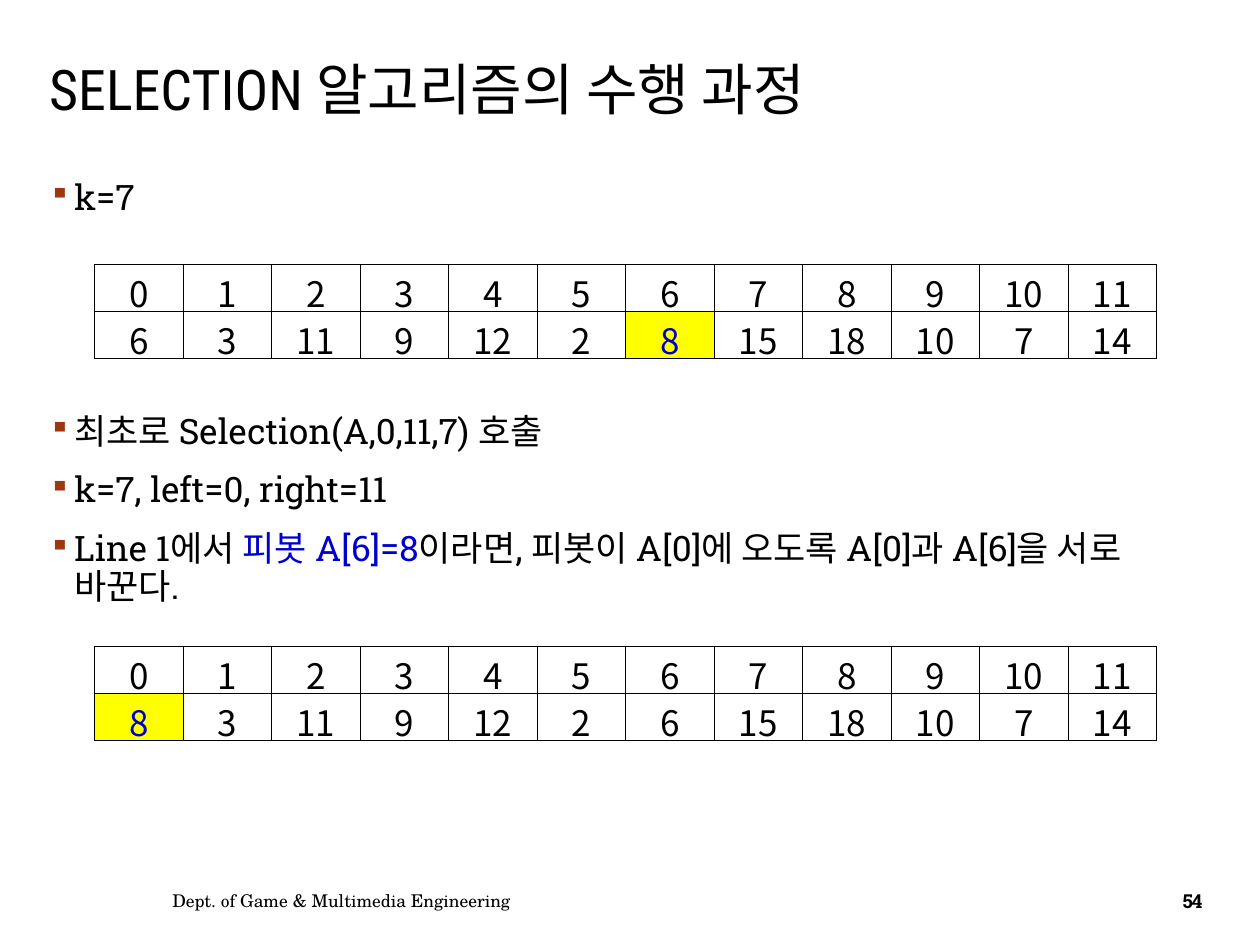
from dataclasses import dataclass

import pptx
import pptx.dml.color
import pptx.enum.text
import pptx.oxml
import pptx.oxml.ns
import pptx.util
from lxml import etree

Inches, Pt = pptx.util.Inches, pptx.util.Pt
MIDDLE = pptx.enum.text.MSO_ANCHOR.MIDDLE
LEFT, CENTER = pptx.enum.text.PP_ALIGN.LEFT, pptx.enum.text.PP_ALIGN.CENTER
BLACK, BLUE, YELLOW, RUST = "000000", "0000CC", "FFFF00", "9E3611"
SLAB, SANS = "Roboto Slab", "Noto Sans CJK KR"


@dataclass
class Bullet:
    runs: list[tuple[str, str]]
    space_before: float = 12


@dataclass
class ArrayTable:
    top: float
    values: list[int]
    pivot: int


BULLETS = [
    Bullet([("k=7", BLACK)]),
    Bullet([("최초로 Selection(A,0,11,7) 호출", BLACK)], 112),
    Bullet([("k=7, left=0, right=11", BLACK)]),
    Bullet([
        ("Line 1에서 ", BLACK),
        ("피봇 A[6]=8", BLUE),
        ("이라면, 피봇이 A[0]에 오도록 A[0]과 A[6]을 서로 바꾼다.", BLACK),
    ]),
]
TABLES = [
    ArrayTable(2.1, [6, 3, 11, 9, 12, 2, 8, 15, 18, 10, 7, 14], 6),
    ArrayTable(5.13, [8, 3, 11, 9, 12, 2, 6, 15, 18, 10, 7, 14], 0),
]


def rgb(color: str):
    return pptx.dml.color.RGBColor.from_string(color)


def child(parent, tag: str, **attrs: str):
    return etree.SubElement(parent, pptx.oxml.ns.qn(tag), attrs)


def add_run(p, text: str, *, size=20, font=SLAB, color=BLACK, bold=False, spacing=0):
    r = p.add_run()
    r.text = text
    r.font.size = Pt(size)
    r.font.name = font
    r.font.bold = bold
    r.font.color.rgb = rgb(color)
    rPr = r.font._element
    child(rPr, "a:ea", typeface=SANS)
    if spacing:
        rPr.set("spc", str(spacing))


def add_box(s, left: float, top: float, width: float, height: float):
    sp = s.shapes.add_textbox(Inches(left), Inches(top), Inches(width), Inches(height))
    sp.text_frame.word_wrap = True
    return sp.text_frame


def add_title(s, text: str) -> None:
    sp = s.shapes.title
    sp.left, sp.top = Inches(0.29), Inches(0.26)
    sp.width, sp.height = Inches(9.43), Inches(0.94)
    tf = sp.text_frame
    tf.auto_size = pptx.enum.text.MSO_AUTO_SIZE.NONE
    tf.vertical_anchor = MIDDLE
    p = tf.paragraphs[0]
    p.alignment = LEFT
    p.line_spacing = 0.9
    add_run(p, text, size=32, font="Roboto Condensed")


def add_bullets(s, bullets: list[Bullet]) -> None:
    tf = add_box(s, 0.29, 1.38, 9.43, 5.37)
    for i, bullet in enumerate(bullets):
        p = tf.add_paragraph() if i else tf.paragraphs[0]
        p.line_spacing = 0.9
        p.space_before = Pt(bullet.space_before)
        pPr = p._p.get_or_add_pPr()
        pPr.set("marL", str(Inches(0.2)))
        pPr.set("indent", str(Inches(-0.2)))
        child(child(pPr, "a:buClr"), "a:srgbClr", val=RUST)
        child(pPr, "a:buSzPct", val="85000")
        child(pPr, "a:buChar", char="▪")
        for text, color in bullet.runs:
            add_run(p, text, color=color)


def format_cell(cell, value: int, highlighted: bool) -> None:
    cell.vertical_anchor = MIDDLE
    cell.margin_left = cell.margin_right = Inches(0.07)
    cell.margin_top = cell.margin_bottom = Inches(0.02)
    tcPr = cell._tc.get_or_add_tcPr()
    for side in "LRTB":
        ln = child(tcPr, f"a:ln{side}", w=str(Pt(0.28)))
        child(child(ln, "a:solidFill"), "a:srgbClr", val=BLACK)
    if highlighted:
        cell.fill.solid()
        cell.fill.fore_color.rgb = rgb(YELLOW)
    else:
        cell.fill.background()
    p = cell.text_frame.paragraphs[0]
    p.alignment = CENTER
    add_run(p, str(value), font=SANS, color=BLUE if highlighted else BLACK)


def add_array(s, array: ArrayTable) -> None:
    n = len(array.values)
    frame = s.shapes.add_table(2, n, Inches(0.75), Inches(array.top), Inches(8.43), Inches(0.7))
    table = frame.table
    table.first_row = table.horz_banding = False
    for col, value in enumerate(array.values):
        format_cell(table.cell(0, col), col, False)
        format_cell(table.cell(1, col), value, col == array.pivot)


def add_footer(s, left: float, width: float, text: str, align, **style) -> None:
    tf = add_box(s, left, 6.95, width, 0.4)
    tf.vertical_anchor = MIDDLE
    p = tf.paragraphs[0]
    p.alignment = align
    add_run(p, text, **style)


def main() -> None:
    prs = pptx.Presentation()
    prs.slide_width, prs.slide_height = Inches(10), Inches(7.5)
    s = prs.slides.add_slide(prs.slide_layouts[5])
    add_title(s, "SELECTION 알고리즘의 수행 과정")
    add_bullets(s, BULLETS)
    for array in TABLES:
        add_array(s, array)
    add_footer(s, 1.27, 4.59, "Dept. of Game & Multimedia Engineering", LEFT,
               size=10, font="TeX Gyre Schola")
    add_footer(s, 9.2, 0.53, "54", CENTER, size=11, bold=True, spacing=-70)
    prs.save("out.pptx")


if __name__ == "__main__":
    main()
